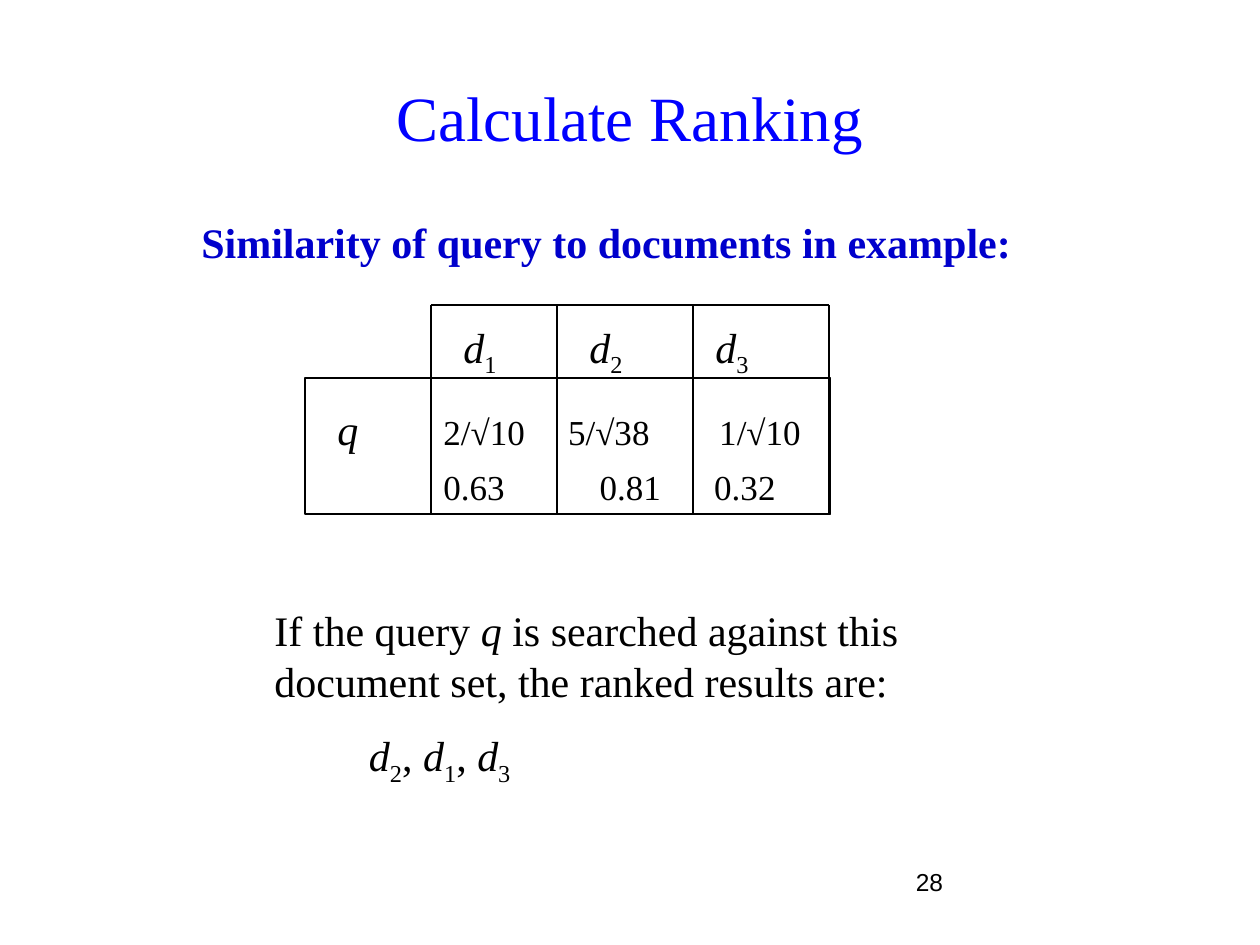
from lxml import etree
from pptx import Presentation
from pptx.dml.color import RGBColor
from pptx.enum import shapes, text
from pptx.oxml.ns import qn
from pptx.util import Inches, Pt

SERIF = "Times New Roman"
BLACK = "000000"


def paint(font, size, color=BLACK, name=SERIF):
    font.size, font.name = Pt(size), name
    font.color.rgb = RGBColor.from_string(color)


def fill(par, runs, size=24, gap=0, tabs=()):
    """Write (text, style) runs; style i is italic, s is subscript, b is bold."""
    if tabs:
        stops = etree.SubElement(par._p.get_or_add_pPr(), qn("a:tabLst"))
        for stop in tabs:
            etree.SubElement(stops, qn("a:tab"), pos=str(Inches(stop)), algn="l")
    if gap:
        par.space_before = Pt(gap)
    for words, style in runs:
        run = par.add_run()
        run.text = words
        paint(run.font, size)
        if style == "i":
            run.font.italic = True
        elif style == "b":
            run.font.bold = True
        elif style == "s":
            run.font._element.set("baseline", "-25000")


def add_box(slide, box):
    frame = slide.shapes.add_textbox(*map(Inches, box)).text_frame
    frame.word_wrap = True
    return frame


def add_line(slide, *ends):
    line = slide.shapes.add_connector(
        shapes.MSO_CONNECTOR.STRAIGHT, *map(Inches, ends))
    line.line.color.rgb = RGBColor.from_string(BLACK)
    line.line.width = Pt(0.75)
    etree.SubElement(line._element.spPr, qn("a:effectLst"))


def add_title(slide, box):
    title = slide.shapes.title
    title.left, title.top, title.width, title.height = map(Inches, box)
    frame = title.text_frame
    frame.text = "Calculate Ranking"
    frame.vertical_anchor = text.MSO_ANCHOR.MIDDLE
    par = frame.paragraphs[0]
    par.alignment = text.PP_ALIGN.CENTER
    paint(par.runs[0].font, 36, "0000FF")


def add_head(slide, box):
    par = add_box(slide, box).paragraphs[0]
    fill(par, [("Similarity of query to documents in example:", "b")])
    paint(par.runs[0].font, 24, "0000CC")


def add_scores(slide, box):
    # Column heads and score rows, set on tab stops
    frame = add_box(slide, box)
    heads = []
    for num in "123":
        heads += [("\t", ""), ("d", "i"), (num, "s")]
    fill(frame.paragraphs[0], heads, tabs=(1, 2, 3))

    row = frame.add_paragraph()
    fill(row, [("q", "i")], gap=14, tabs=(0.84, 1.83, 3.03))
    fill(row, [("\t2/√10\t5/√38\t1/√10", "")], size=20)
    fill(frame.add_paragraph(), [("\t0.63\t0.81\t0.32", "")],
         size=20, gap=7, tabs=(0.84, 2.08, 2.99))


def add_grid(slide, box, top, cols):
    # Frame of the body, column rules and the top rule
    left, mid, width, height = box
    body = slide.shapes.add_shape(
        shapes.MSO_SHAPE.RECTANGLE, *map(Inches, box))
    body.shadow.inherit = False
    body.fill.background()
    body.line.color.rgb = RGBColor.from_string(BLACK)
    body.line.width = Pt(0.75)
    for col in cols:
        add_line(slide, col, mid + height, col, top)
    add_line(slide, cols[0], top, cols[-1], top)


def add_result(slide, box):
    frame = add_box(slide, box)
    fill(frame.paragraphs[0], [
        ("If the query ", ""), ("q", "i"),
        (" is searched against this document set, the ranked results are:", "")])
    ranks = [("\t", "")]
    for num in "213":
        if len(ranks) > 1:
            ranks.append((", ", ""))
        ranks += [("d", "i"), (num, "s")]
    fill(frame.add_paragraph(), ranks, gap=14, tabs=(0.75,))


def add_number(slide, box):
    par = add_box(slide, box).paragraphs[0]
    fill(par, [("28", "")])
    paint(par.runs[0].font, 14, name="Arial")


def main():
    deck = Presentation()
    deck.slide_width, deck.slide_height = Inches(10), Inches(7.5)
    slide = deck.slides.add_slide(deck.slide_layouts[5])
    add_number(slide, (7.17, 6.83, 2.33, 0.52))
    add_title(slide, (0.5, 0.3, 9, 1.25))
    add_scores(slide, (2.58, 2.5, 5.25, 1.53))
    add_grid(slide, (2.42, 3, 4.17, 1.08), 2.42, (3.42, 4.42, 5.5, 6.58))
    add_head(slide, (1.5, 1.67, 7.17, 0.5))
    add_result(slide, (2.08, 4.75, 6.17, 1.5))
    deck.save("out.pptx")


if __name__ == "__main__":
    main()
